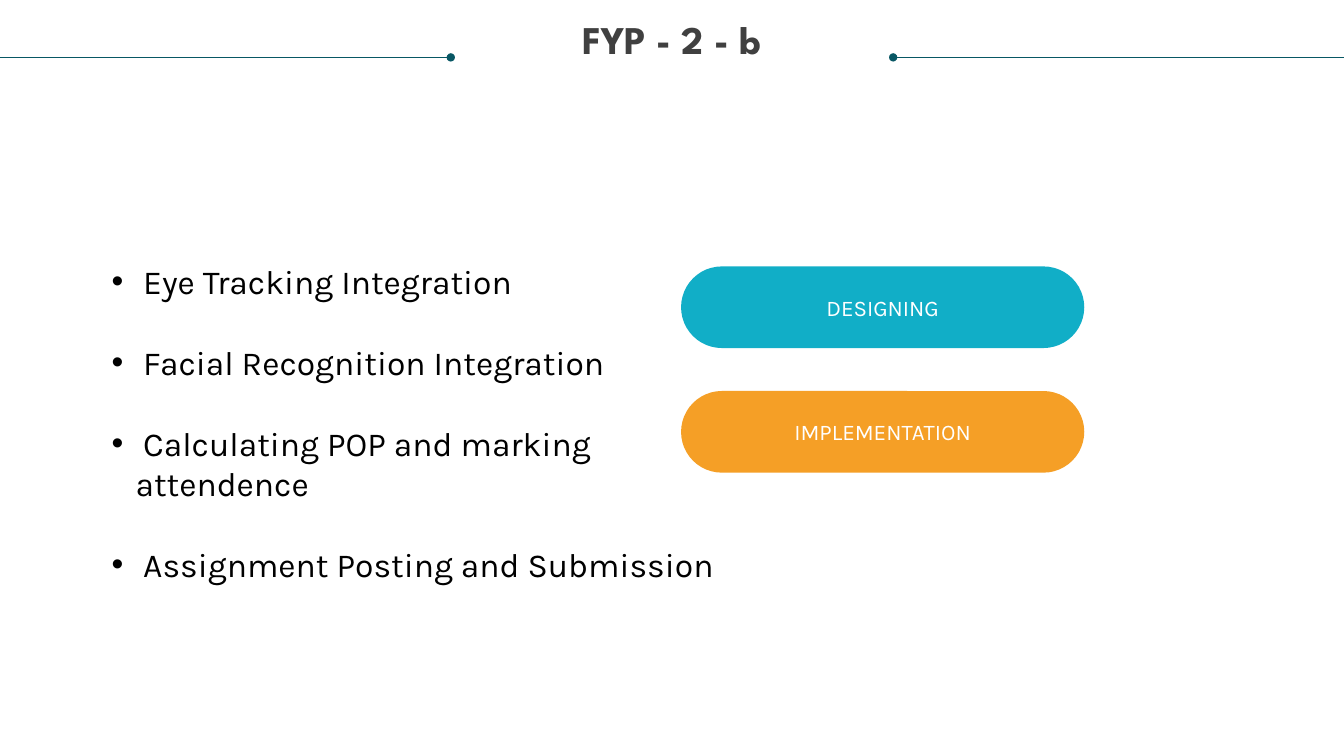
import pptx
import pptx.util
import pptx.dml.color
import pptx.enum.shapes
import pptx.enum.text
import pptx.oxml
import pptx.oxml.ns
from dataclasses import dataclass

Pt = pptx.util.Pt
RGB = pptx.dml.color.RGBColor.from_string
ALIGN = pptx.enum.text.PP_ALIGN
ANCHOR = pptx.enum.text.MSO_ANCHOR
SHAPE = pptx.enum.shapes.MSO_SHAPE
LINE = pptx.enum.shapes.MSO_CONNECTOR


@dataclass(frozen=True)
class Theme:
    ink: str = "000000"
    head: str = "404040"
    rule: str = "085764"
    teal: str = "11AEC7"
    gold: str = "F59F26"
    white: str = "FFFFFF"
    body: str = "Karla"
    bold: str = "League Spartan"
    big: int = 28
    mid: int = 24
    small: int = 16


THEME = Theme()
WIDE, HIGH = 960, 540


def apply(item, form):
    for name, value in form.items():
        setattr(item, name, value)


def style(par, font, size, color, bold=False):
    apply(par.font, {"name": font, "size": Pt(size), "bold": bold})
    par.font.color.rgb = RGB(color)


def add_xml(parent, tag, **attrs):
    node = pptx.oxml.parse_xml(f"<a:{tag} {pptx.oxml.ns.nsdecls('a')}/>")
    for name, value in attrs.items():
        node.set(name, str(value))
    parent.append(node)


def draw_title(slide, box, text):
    left, top, width, height = box
    title = slide.shapes.title
    apply(title, {"left": Pt(left), "top": Pt(top),
                  "width": Pt(width), "height": Pt(height)})
    frame = title.text_frame
    frame.text = text
    apply(frame, {"margin_left": 0, "margin_top": 0, "margin_right": 0,
                  "margin_bottom": 0, "word_wrap": True,
                  "vertical_anchor": ANCHOR.TOP,
                  "auto_size": pptx.enum.text.MSO_AUTO_SIZE.NONE})
    par = frame.paragraphs[0]
    apply(par, {"alignment": ALIGN.CENTER, "line_spacing": 0.9})
    style(par, THEME.bold, THEME.big, THEME.head, True)


def draw_rules(slide, box):
    left, top, width, length = box
    right = left + width
    # Each rule runs in from a slide edge; the dot sits at its inner end
    for start, end, dot in ((left, left + length, "tailEnd"),
                            (right - length, right, "headEnd")):
        rule = slide.shapes.add_connector(
            LINE.STRAIGHT, Pt(start), Pt(top), Pt(end), Pt(top))
        rule.line.color.rgb = RGB(THEME.rule)
        rule.line.width = Pt(0.5)
        add_xml(rule.line._get_or_add_ln(), dot, type="oval")
        add_xml(rule._element.spPr, "effectLst")


def draw_pills(slide, box, pills, gap):
    left, top, width, height = box
    for row, (text, color) in enumerate(pills):
        pill = slide.shapes.add_shape(
            SHAPE.ROUNDED_RECTANGLE, Pt(left), Pt(top + row * (height + gap)),
            Pt(width), Pt(height))
        pill.adjustments[0] = 0.5
        pill.shadow.inherit = False
        pill.fill.solid()
        pill.fill.fore_color.rgb = RGB(color)
        pill.line.fill.background()
        frame = pill.text_frame
        frame.text = text
        frame.vertical_anchor = ANCHOR.MIDDLE
        frame.paragraphs[0].alignment = ALIGN.CENTER
        style(frame.paragraphs[0], THEME.body, THEME.small, THEME.white)


def draw_list(slide, box, tasks):
    frame = slide.shapes.add_textbox(*map(Pt, box)).text_frame
    frame.word_wrap = True
    for row, (text, marked) in enumerate(tasks):
        par = frame.paragraphs[0] if row == 0 else frame.add_paragraph()
        par.text = text
        style(par, THEME.body, THEME.mid, THEME.ink)
        # A marked line opens a task; a plain one carries it on
        par.space_before = Pt(28.8 if marked and row else 0)
        props = par._p.get_or_add_pPr()
        props.set("marL", str(Pt(22.5 if marked else 17)))
        if marked:
            props.set("indent", str(-Pt(22.5)))
            bullet = pptx.oxml.parse_xml(
                f'<a:buChar {pptx.oxml.ns.nsdecls("a")} char="•"/>')
            face = pptx.oxml.parse_xml(
                f'<a:buFont {pptx.oxml.ns.nsdecls("a")} typeface="Arial"/>')
            props.find(pptx.oxml.ns.qn("a:defRPr")).addprevious(face)
            face.addnext(bullet)


def main():
    deck = pptx.Presentation()
    apply(deck, {"slide_width": Pt(WIDE), "slide_height": Pt(HIGH)})
    slide = deck.slides.add_slide(deck.slide_layouts[5])

    # Phases
    draw_pills(slide, (486.5, 190.3, 288, 58.3),
               (("DESIGNING", THEME.teal), ("IMPLEMENTATION", THEME.gold)),
               30.7)

    # Heading
    draw_title(slide, (18, 15, WIDE - 36, 30.5), "FYP - 2 - b")
    draw_rules(slide, (0, 41, WIDE, 322))

    # Tasks
    draw_list(slide, (72.7, 183, 480, 298), (
        ("Eye Tracking Integration", True),
        ("Facial Recognition Integration", True),
        ("Calculating POP and marking", True),
        ("attendence", False),
        ("Assignment Posting and Submission", True)))

    deck.save("out.pptx")


if __name__ == "__main__":
    main()
